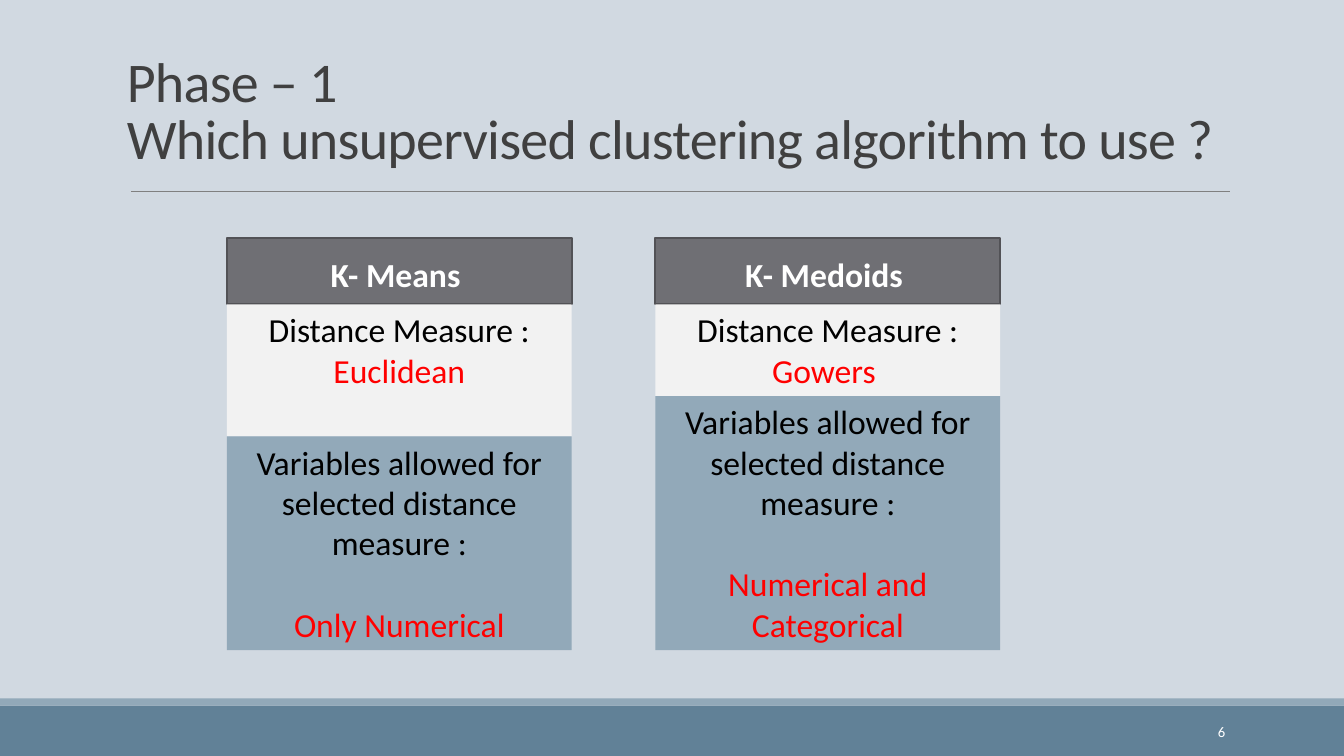
from lxml import etree
from pptx import Presentation
from pptx.dml.color import RGBColor
from pptx.enum import shapes, text
from pptx.oxml.ns import qn
from pptx.util import Inches, Pt

BACKGROUND = RGBColor(0xD1, 0xD9, 0xE1)
FOOTER_BLUE = RGBColor(0x61, 0x81, 0x97)
LIGHT_BLUE = RGBColor(0x92, 0xA9, 0xB9)
RULE_GRAY = RGBColor(0x80, 0x80, 0x80)
HEADER_GRAY = RGBColor(0x6F, 0x6F, 0x74)
HEADER_EDGE = RGBColor(0x52, 0x52, 0x56)
PALE_GRAY = RGBColor(0xF2, 0xF2, 0xF2)
TITLE_GRAY = RGBColor(0x40, 0x40, 0x40)
WHITE = RGBColor(0xFF, 0xFF, 0xFF)
BLACK = RGBColor(0x00, 0x00, 0x00)
RED = RGBColor(0xFF, 0x00, 0x00)

SLIDE_WIDTH, SLIDE_HEIGHT = 13.33, 7.5
CARD_TOP, CARD_WIDTH, CARD_HEIGHT = 2.36, 3.42, 4.09
HEADER_HEIGHT = 0.66
BLANK_LINE = Pt(29.3)

# Heading, distance measure, allowed variables, height of the distance block
ALGORITHMS = [
    ("K- Means ", "Euclidean", "Only Numerical", 1.31),
    ("K- Medoids ", "Gowers ", "Numerical and Categorical", 0.91),
]


def add_rectangle(slide, left, top, width, height, fill, edge=None):
    shape = slide.shapes.add_shape(
        shapes.MSO_SHAPE.RECTANGLE,
        Inches(left), Inches(top), Inches(width), Inches(height))
    shape.shadow.inherit = False
    shape.fill.solid()
    shape.fill.fore_color.rgb = fill
    if edge is None:
        shape.line.fill.background()
    else:
        shape.line.color.rgb = edge
        shape.line.width = Pt(1.25)
    return shape


def add_text_box(slide, left, top, width, height, anchor):
    box = slide.shapes.add_textbox(
        Inches(left), Inches(top), Inches(width), Inches(height))
    box.text_frame.word_wrap = True
    box.text_frame.vertical_anchor = anchor
    return box.text_frame


def format_run(run, size, color, bold=False):
    run.font.name = "Calibri"
    run.font.size = Pt(size)
    run.font.color.rgb = color
    run.font.bold = bold


def add_title(slide, left, top, width, height):
    frame = add_text_box(slide, left, top, width, height, text.MSO_ANCHOR.BOTTOM)
    frame.text = "Phase – 1 \vWhich unsupervised clustering algorithm to use ?"
    paragraph = frame.paragraphs[0]
    paragraph.line_spacing = 0.85
    for run in paragraph.runs:
        format_run(run, 40, TITLE_GRAY)
        run.font._element.set("spc", "-50")


def add_title_rule(slide, left, top, width):
    rule = slide.shapes.add_connector(
        shapes.MSO_CONNECTOR.STRAIGHT,
        Inches(left), Inches(top), Inches(left + width), Inches(top))
    rule.line.color.rgb = RULE_GRAY
    rule.line.width = Pt(0.5)
    etree.SubElement(rule._element.spPr, qn("a:effectLst"))


def add_footer(slide, top, height):
    """Place the footer band, the thin strip above it and the slide number."""
    add_rectangle(slide, 0, top, SLIDE_WIDTH, height, FOOTER_BLUE)
    add_rectangle(slide, 0, top - 0.07, SLIDE_WIDTH, 0.07, LIGHT_BLUE)
    frame = add_text_box(slide, 10.82, top + 0.06, 1.43, 0.4, text.MSO_ANCHOR.MIDDLE)
    frame.text = "6"
    frame.paragraphs[0].alignment = text.PP_ALIGN.RIGHT
    format_run(frame.paragraphs[0].runs[0], 10.5, WHITE)


def add_block(slide, left, top, width, height, fill, prompt, answer, gap=None):
    """Place a prompt and its red answer; a gap puts the answer in its own paragraph."""
    block = add_rectangle(slide, left, top, width, height, fill)
    frame = block.text_frame
    frame.vertical_anchor = text.MSO_ANCHOR.TOP
    frame.text = prompt
    answer_paragraph = frame.paragraphs[0]
    if gap is not None:
        answer_paragraph = frame.add_paragraph()
        answer_paragraph.space_before = gap
    answer_run = answer_paragraph.add_run()
    answer_run.text = answer
    for paragraph in frame.paragraphs:
        paragraph.alignment = text.PP_ALIGN.CENTER
    format_run(frame.paragraphs[0].runs[0], 24, BLACK)
    format_run(answer_run, 24, RED)


def add_algorithm_card(slide, left, top, width, height, algorithm):
    heading, distance, variables, distance_height = algorithm
    add_rectangle(slide, left, top, width, HEADER_HEIGHT, HEADER_GRAY, HEADER_EDGE)
    label = add_text_box(slide, left + 0.59, top + 0.11, width - 1.18, 0.5,
                         text.MSO_ANCHOR.TOP)
    label.text = heading
    label.paragraphs[0].alignment = text.PP_ALIGN.CENTER
    format_run(label.paragraphs[0].runs[0], 24, WHITE, bold=True)

    distance_top = top + HEADER_HEIGHT
    variables_top = distance_top + distance_height
    add_block(slide, left, distance_top, width, distance_height, PALE_GRAY,
              "Distance Measure : ", distance)
    add_block(slide, left, variables_top, width, top + height - variables_top,
              LIGHT_BLUE, "Variables allowed for selected distance measure :",
              variables, gap=BLANK_LINE)


def main():
    presentation = Presentation()
    presentation.slide_width = Inches(SLIDE_WIDTH)
    presentation.slide_height = Inches(SLIDE_HEIGHT)
    slide = presentation.slides.add_slide(presentation.slide_layouts[6])
    slide.background.fill.solid()
    slide.background.fill.fore_color.rgb = BACKGROUND

    add_footer(slide, 7, 0.5)
    add_title_rule(slide, 1.3, 1.9, 10.9)
    add_title(slide, 1.16, 0.58, 11.17, 1.17)
    for index, algorithm in enumerate(ALGORITHMS):
        add_algorithm_card(slide, 2.25 + index * 4.25, CARD_TOP,
                           CARD_WIDTH, CARD_HEIGHT, algorithm)
    presentation.save("out.pptx")


if __name__ == "__main__":
    main()
